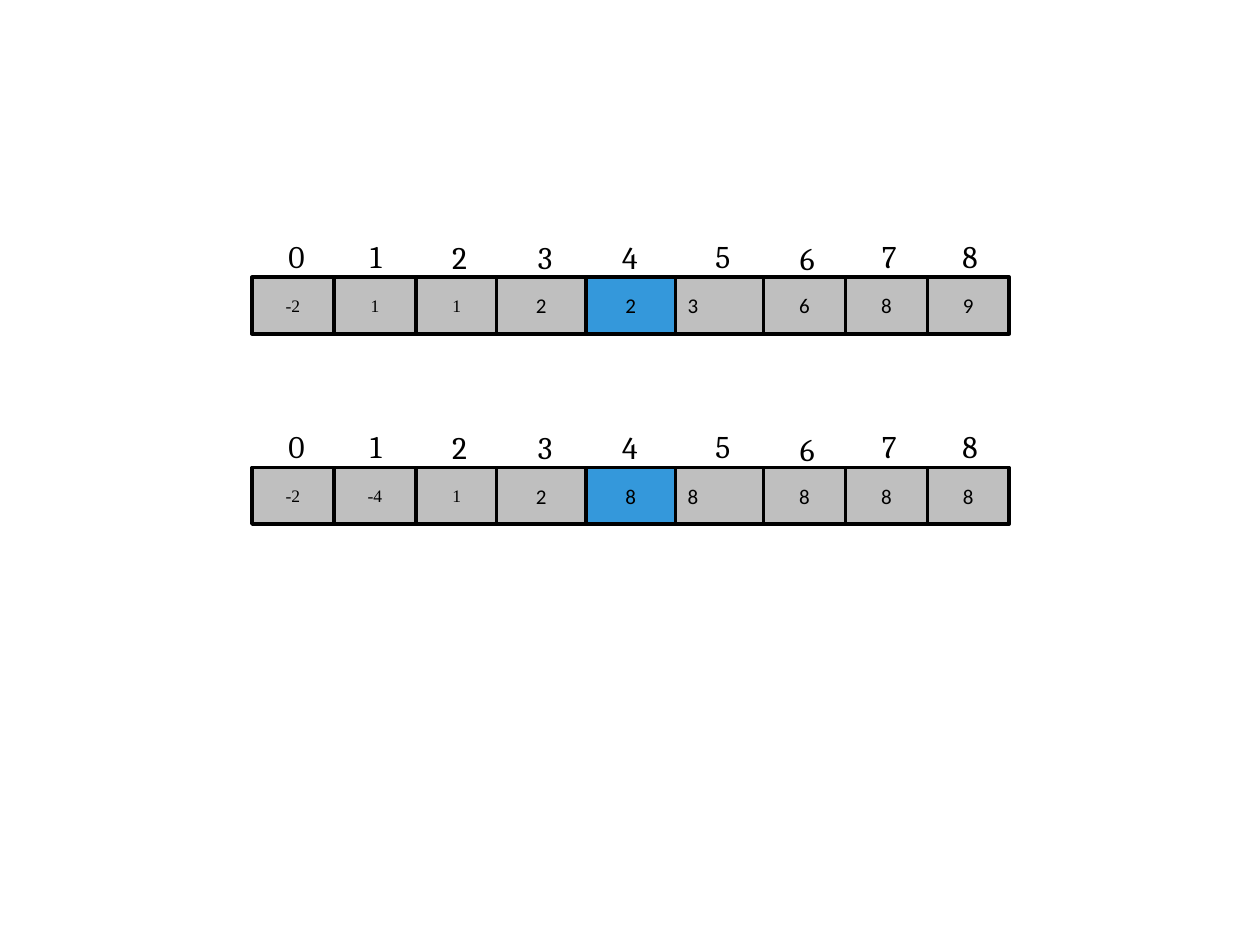
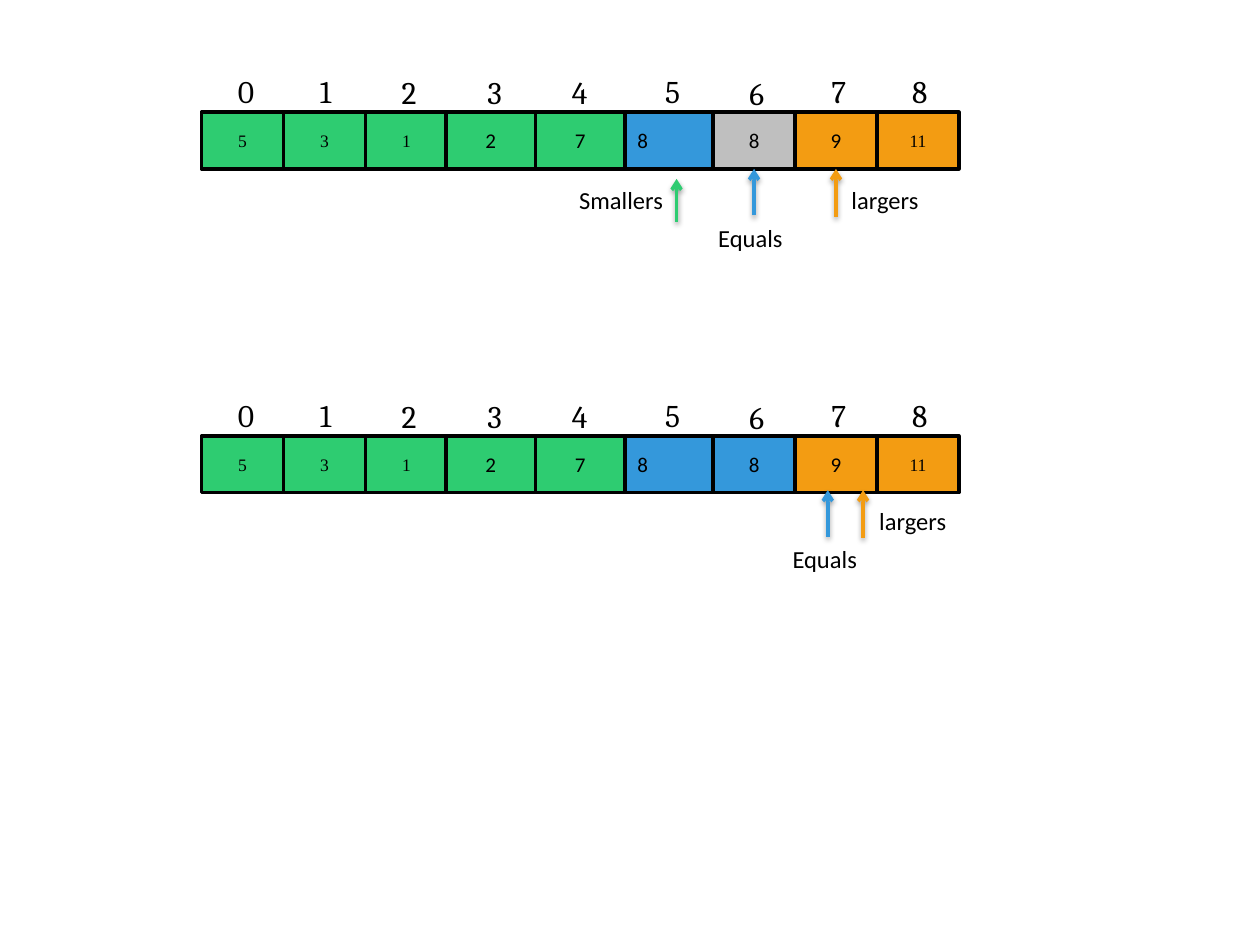
"""Build two slides of indexed arrays with partition pointers."""
from lxml import etree
from pptx import Presentation
from pptx.dml.color import RGBColor
from pptx.enum import shapes, text
from pptx.oxml import parse_xml
from pptx.oxml.ns import nsdecls, qn
from pptx.util import Inches, Pt

COLORS = {"black": "000000", "gray": "BFBFBF", "blue": "3498DB",
          "green": "2ECC71", "orange": "F39C12"}
CELL_OFFSETS = [0, 0.65, 1.3, 1.94, 2.65, 3.36, 4.06, 4.71, 5.36]
CELL_WIDTHS = [0.65] * 3 + [0.71] * 3 + [0.65] * 3
CELL_HEIGHT = 0.45
INDEX_OFFSETS = [0.19, 0.84, 1.49, 2.17, 2.84, 3.58, 4.25, 4.9, 5.54]
INDEX_RISES = [0.37, 0.37, 0.36, 0.36, 0.36, 0.37, 0.35, 0.37, 0.37]
SHADOW = (
    f'<a:effectLst {nsdecls("a")}><a:outerShdw blurRad="39370" dist="20320" '
    f'dir="5400000" rotWithShape="0"><a:srgbClr val="{COLORS["black"]}">'
    '<a:alpha val="38000"/></a:srgbClr></a:outerShdw></a:effectLst>')


def write(box, words, font, size, align):
    para = box.text_frame.paragraphs[0]
    para.text = words
    para.alignment = align
    para.font.name = font
    para.font.size = Pt(size)
    para.font.color.rgb = RGBColor.from_string(COLORS["black"])


def add_label(page, words, left, top, width, height, font, size, align, wrap):
    box = page.shapes.add_textbox(
        Inches(left), Inches(top), Inches(width), Inches(height))
    box.text_frame.word_wrap = wrap
    box.text_frame.auto_size = text.MSO_AUTO_SIZE.SHAPE_TO_FIT_TEXT
    write(box, words, font, size, align)


LEFT, CENTER, RIGHT = (text.PP_ALIGN.LEFT, text.PP_ALIGN.CENTER,
                       text.PP_ALIGN.RIGHT)
pivot_fills = ["gray"] * 4 + ["blue"] + ["gray"] * 4
scan_fills = ["green"] * 5 + ["blue", "gray"] + ["orange"] * 2
done_fills = ["green"] * 5 + ["blue"] * 2 + ["orange"] * 2
partitioned = ["5", "3", "1", "2", "7", "8", "8", "9", "11"]

# Each pointer: word, color, x, start y, end y, joined cell, label box, alignment
slides = [
    [
        (2, 3.71, ["-2", "-4", "1", "2", "8", "8", "8", "8", "8"], pivot_fills, []),
        (2, 2.2, ["-2", "1", "1", "2", "2", "3", "6", "8", "9"], pivot_fills, []),
    ],
    [
        (1.6, 0.89, partitioned, scan_fills, [
            ("largers", "orange", 6.63, 1.72, 1.34, 7, (6.66, 1.42, 1), LEFT),
            ("Equals", "blue", 5.99, 1.71, 1.34, 6, (5.44, 1.72, 0.87), RIGHT),
            ("Smallers", "green", 5.37, 1.76, 1.42, None, (4.49, 1.42, 0.87), RIGHT),
        ]),
        (1.6, 3.46, partitioned, done_fills, [
            ("largers", "orange", 6.85, 4.27, 3.89, None, (6.88, 3.97, 1), LEFT),
            ("Equals", "blue", 6.57, 4.26, 3.89, None, (6.03, 4.27, 0.87), RIGHT),
        ]),
    ],
]

deck = Presentation()
deck.slide_width, deck.slide_height = Inches(10), Inches(7.5)

for arrays in slides:
    page = deck.slides.add_slide(deck.slide_layouts[6])
    for left, top, values, fills, pointers in arrays:
        cells = []
        for index, (value, fill) in enumerate(zip(values, fills)):
            cell = page.shapes.add_shape(
                shapes.MSO_SHAPE.RECTANGLE,
                Inches(left + CELL_OFFSETS[index]), Inches(top),
                Inches(CELL_WIDTHS[index]), Inches(CELL_HEIGHT))
            cell.shadow.inherit = False
            cell.fill.solid()
            cell.fill.fore_color.rgb = RGBColor.from_string(COLORS[fill])
            cell.line.color.rgb = RGBColor.from_string(COLORS["black"])
            cell.line.width = Pt(2)
            cell.text_frame.vertical_anchor = text.MSO_ANCHOR.MIDDLE
            serif = index < 3 or value == "11"
            write(cell, value, "Times New Roman" if serif else "Calibri",
                  10 if serif else 12, LEFT if index == 5 else CENTER)
            cells.append(cell)

        for index, (offset, rise) in enumerate(zip(INDEX_OFFSETS, INDEX_RISES)):
            add_label(page, str(index), left + offset, top - rise, 0.34, 0.39,
                      "Cambria", 18, LEFT, False)

        for word, color, x, start, end, target, place, align in pointers:
            arrow = page.shapes.add_connector(
                shapes.MSO_CONNECTOR.STRAIGHT,
                Inches(x), Inches(start), Inches(x), Inches(end))
            if target is not None:
                arrow.end_connect(cells[target], 2)
                arrow.begin_x = arrow.end_x
            arrow.line.color.rgb = RGBColor.from_string(COLORS[color])
            arrow.line.width = Pt(2)
            etree.SubElement(arrow.line._get_or_add_ln(), qn("a:tailEnd"), type="arrow")
            arrow._element.spPr.append(parse_xml(SHADOW))
            add_label(page, word, *place, 0.34, "Calibri", 14, align, True)

deck.save("out.pptx")
